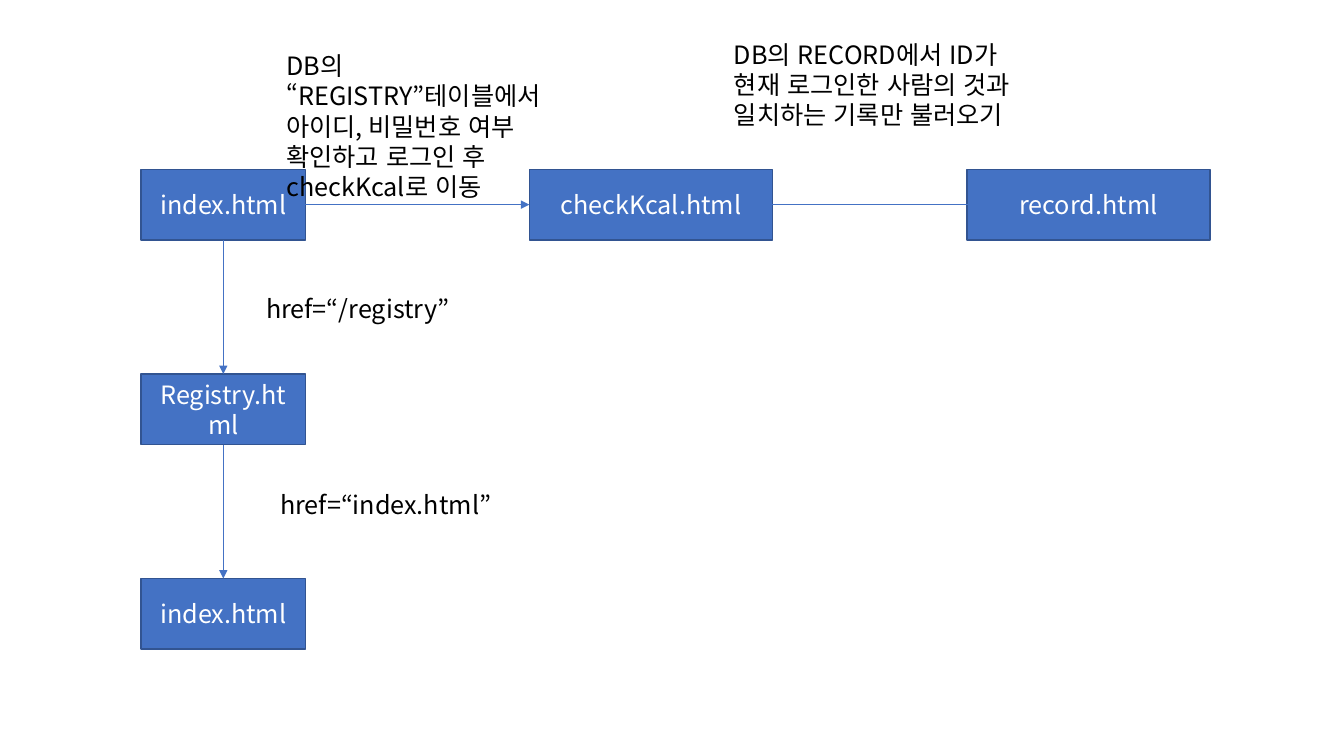
from dataclasses import dataclass

from lxml import etree
from pptx import Presentation
from pptx.dml.color import RGBColor
from pptx.enum.lang import MSO_LANGUAGE_ID
from pptx.enum.shapes import MSO_CONNECTOR, MSO_SHAPE
from pptx.enum.text import MSO_ANCHOR, MSO_AUTO_SIZE, PP_ALIGN
from pptx.oxml.ns import qn
from pptx.util import Inches, Pt

PROCESS = MSO_SHAPE.FLOWCHART_PROCESS
STRAIGHT = MSO_CONNECTOR.STRAIGHT
MIDDLE = MSO_ANCHOR.MIDDLE
CENTER = PP_ALIGN.CENTER
LEFT = PP_ALIGN.LEFT
GROW = MSO_AUTO_SIZE.SHAPE_TO_FIT_TEXT
KOREAN = MSO_LANGUAGE_ID.KOREAN


@dataclass(frozen=True)
class Theme:
    """Colours and type of the page flow."""
    blue: RGBColor = RGBColor(0x44, 0x72, 0xC4)
    edge: RGBColor = RGBColor(0x32, 0x54, 0x91)
    white: RGBColor = RGBColor(0xFF, 0xFF, 0xFF)
    black: RGBColor = RGBColor(0, 0, 0)
    font: str = "Noto Sans CJK KR"
    size: Pt = Pt(18)


theme = Theme()


def write(shape, text, color, align):
    """Put one formatted paragraph into a shape."""
    frame = shape.text_frame
    frame.text = text
    frame.word_wrap = True
    para = frame.paragraphs[0]
    para.alignment = align
    span = para.runs[0]
    span.font.name = theme.font
    span.font.size = theme.size
    span.font.color.rgb = color
    span.font.language_id = KOREAN
    properties = span.font._element
    etree.SubElement(properties, qn("a:ea"), typeface=theme.font)


deck = Presentation()
deck.slide_width = Inches(13.33)
deck.slide_height = Inches(7.5)
page = deck.slides.add_slide(deck.slide_layouts[6])

# Pages of the site: a login column on the left, the main row on top
box_height = 0.7
top_row = 1.68
row_step = 2.03
narrow, wide = 1.63, 2.41
login_left, check_left, record_left = 1.4, 5.25, 9.59
site_pages = [
    ("index.html", login_left, 0, narrow),
    ("checkKcal.html", check_left, 0, wide),
    ("Registry.html", login_left, 1, narrow),
    ("index.html", login_left, 2, narrow),
    ("record.html", record_left, 0, wide),
]
for name, left, row, width in site_pages:
    box = page.shapes.add_shape(
        PROCESS, Inches(left), Inches(top_row + row * row_step),
        Inches(width), Inches(box_height))
    box.shadow.inherit = False
    box.fill.solid()
    box.fill.fore_color.rgb = theme.blue
    box.line.color.rgb = theme.edge
    box.line.width = Pt(1)
    box.text_frame.vertical_anchor = MIDDLE
    write(box, name, theme.white, CENTER)

# Arrows between the pages
column_x = login_left + narrow / 2
row_y = top_row + box_height / 2
arrows = [
    (column_x, top_row + row * row_step + box_height,
     column_x, top_row + (row + 1) * row_step)
    for row in range(2)
]
arrows += [
    (login_left + narrow, row_y, check_left, row_y),
    (check_left + wide, row_y, record_left + 0.15, row_y),
]
for ends in arrows:
    arrow = page.shapes.add_connector(STRAIGHT, *map(Inches, ends))
    arrow.line.color.rgb = theme.blue
    arrow.line.width = Pt(0.5)
    etree.SubElement(arrow.line._get_or_add_ln(), qn("a:tailEnd"), type="triangle")
    etree.SubElement(arrow._element.spPr, qn("a:effectLst"))

# Notes on each step
notes = [
    ("href=“/registry”", 2.54, 2.86, 2.02, 0.4),
    ("href=“index.html”", 2.68, 4.81, 3.11, 0.4),
    ("DB의 “REGISTRY”테이블에서 아이디, 비밀번호 여부 확인하고 로그인 후 "
     "checkKcal로 이동", 2.74, 0.45, 3.11, 1.31),
    ("DB의 RECORD에서 ID가 현재 로그인한 사람의 것과 일치하는 기록만 불러오기",
     7.18, 0.34, 3.11, 1.31),
]
for text, *place in notes:
    note = page.shapes.add_textbox(*map(Inches, place))
    write(note, text, theme.black, LEFT)
    note.text_frame.auto_size = GROW

deck.save("out.pptx")
